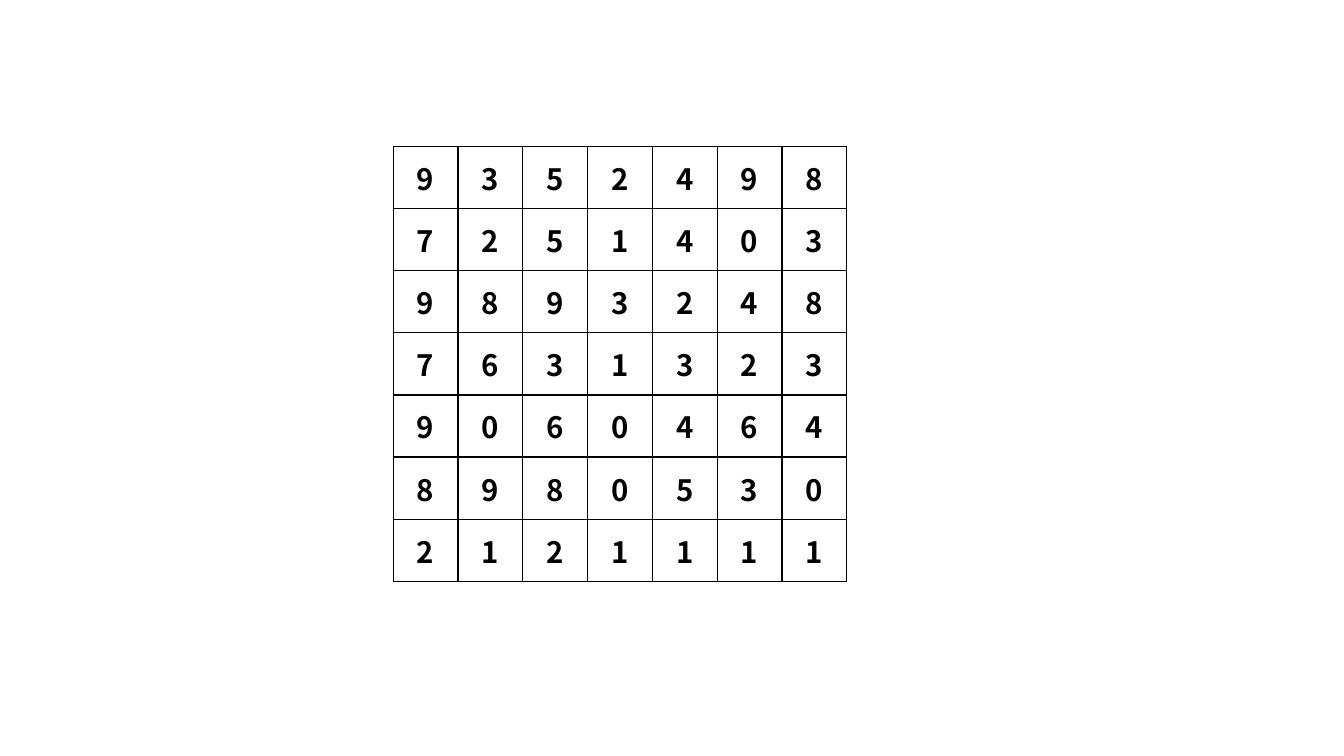
from dataclasses import dataclass

from pptx import Presentation
from pptx.dml.color import RGBColor
from pptx.enum.text import MSO_ANCHOR as Anchor, PP_ALIGN as Align
from pptx.oxml import parse_xml
from pptx.oxml.ns import nsdecls
from pptx.util import Inches, Pt


@dataclass(frozen=True)
class Theme:
    font: str = "Noto Sans CJK SC"
    ink: str = "000000"
    digit_size: int = 21
    border_width: int = 1


THEME = Theme()
DIGIT_ROWS = ["9352498", "7251403", "9893248", "7631323",
              "9060464", "8980530", "2121111"]


def write_text(frame, text, *, size, color, bold=False, align=Align.LEFT):
    para = frame.paragraphs[0]
    para.alignment = align
    span = para.add_run()
    span.text = text
    font = span.font
    font.name, font.size, font.bold = THEME.font, Pt(size), bold
    font.color.rgb = RGBColor.from_string(color)


def add_borders(cell):
    properties = cell._tc.get_or_add_tcPr()
    for side in ("lnL", "lnR", "lnT", "lnB"):
        properties.append(parse_xml(
            f'<a:{side} {nsdecls("a")} w="{Pt(THEME.border_width)}">'
            f'<a:solidFill><a:srgbClr val="{THEME.ink}"/></a:solidFill>'
            f'</a:{side}>'))


def format_cell(cell, digit):
    # Borders precede the fill in the cell properties
    add_borders(cell)
    cell.fill.background()
    cell.vertical_anchor = Anchor.MIDDLE
    cell.margin_left = cell.margin_right = Inches(0.12)
    cell.margin_top = cell.margin_bottom = Inches(0.06)
    write_text(cell.text_frame, digit, size=THEME.digit_size,
               color=THEME.ink, bold=True, align=Align.CENTER)


def add_digit_grid(page, left, top, width, height):
    row_count, column_count = len(DIGIT_ROWS), len(DIGIT_ROWS[0])
    grid = page.shapes.add_table(
        row_count, column_count, Inches(left), Inches(top),
        Inches(width), Inches(height)).table
    grid.first_row = grid.horz_banding = False
    for row, digits in enumerate(DIGIT_ROWS):
        for column, digit in enumerate(digits):
            format_cell(grid.cell(row, column), digit)


def main():
    deck = Presentation()
    deck.slide_width, deck.slide_height = Inches(13.33), Inches(7.5)
    page = deck.slides.add_slide(deck.slide_layouts[6])

    # Digit grid
    add_digit_grid(page, 3.9, 1.45, 4.5, 4.32)

    deck.save("out.pptx")


if __name__ == "__main__":
    main()
